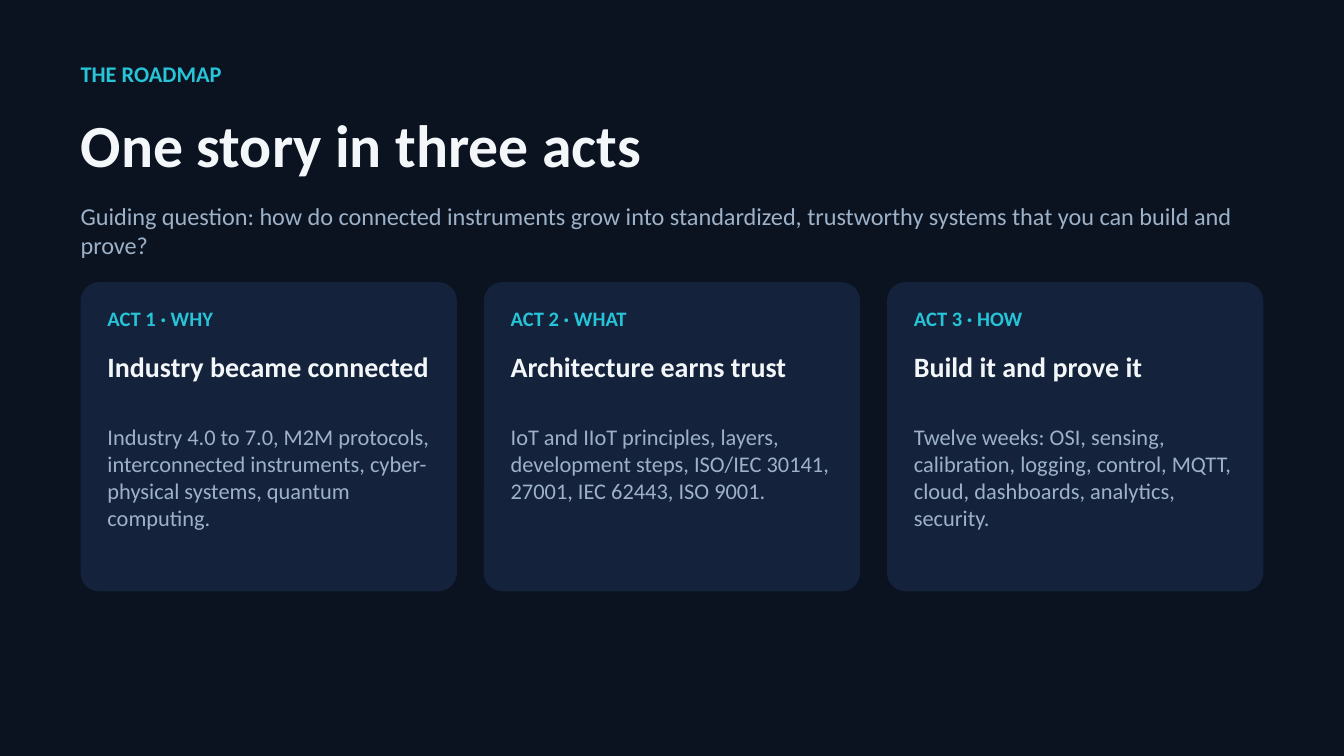
from pptx import Presentation
from pptx.dml.color import RGBColor
from pptx.enum.shapes import MSO_SHAPE
from pptx.enum.text import MSO_ANCHOR, MSO_AUTO_SIZE, PP_ALIGN
from pptx.util import Inches, Pt

COLORS = {
    "background": "0B1220",
    "card": "14233B",
    "accent": "27C4D8",
    "heading": "F3F7FA",
    "body": "9DB2C8",
}
FONT = "Calibri"

# A 16:9 slide
SLIDE_WIDTH = Inches(10)
SLIDE_HEIGHT = SLIDE_WIDTH * 9 // 16

# Layout grid: 50 columns across the slide, rows of a twentieth of an inch
COLUMN = SLIDE_WIDTH / 50
ROW = Inches(0.05)
MARGIN = 3
CONTENT_WIDTH = 44
CARD_WIDTH, CARD_GAP, CARD_PADDING = 14, 1, 1
CARD_TOP, CARD_HEIGHT = 42, 46

ACTS = [
    ("ACT 1 · WHY", "Industry became connected",
     "Industry 4.0 to 7.0, M2M protocols, interconnected instruments, "
     "cyber-physical systems, quantum computing."),
    ("ACT 2 · WHAT", "Architecture earns trust",
     "IoT and IIoT principles, layers, development steps, ISO/IEC 30141, "
     "27001, IEC 62443, ISO 9001."),
    ("ACT 3 · HOW", "Build it and prove it",
     "Twelve weeks: OSI, sensing, calibration, logging, control, MQTT, "
     "cloud, dashboards, analytics, security."),
]


def grid_box(column, row, columns, rows):
    """Return left, top, width and height of a block of grid cells."""
    return (round(column * COLUMN), round(row * ROW),
            round(columns * COLUMN), round(rows * ROW))


def add_text(text, box, *, size, color, bold=False, placeholder=None):
    """Write text into the placeholder, or into a new text box, at the given box."""
    shape = placeholder or slide.shapes.add_textbox(*box)
    shape.left, shape.top, shape.width, shape.height = box
    frame = shape.text_frame
    frame.margin_left = frame.margin_top = frame.margin_right = frame.margin_bottom = 0
    frame.word_wrap = True
    frame.auto_size = MSO_AUTO_SIZE.SHAPE_TO_FIT_TEXT
    frame.vertical_anchor = MSO_ANCHOR.TOP
    paragraph = frame.paragraphs[0]
    paragraph.alignment = PP_ALIGN.LEFT
    run = paragraph.add_run()
    run.text = text
    run.font.name = FONT
    run.font.size = Pt(size)
    run.font.bold = bold
    run.font.color.rgb = RGBColor.from_string(COLORS[color])


presentation = Presentation()
presentation.slide_width = SLIDE_WIDTH
presentation.slide_height = SLIDE_HEIGHT
slide = presentation.slides.add_slide(presentation.slide_layouts.get_by_name("Title Only"))
slide.background.fill.solid()
slide.background.fill.fore_color.rgb = RGBColor.from_string(COLORS["background"])

# Header
add_text("THE ROADMAP", grid_box(MARGIN, 9, CONTENT_WIDTH, 6),
         size=12, color="accent", bold=True)
add_text("One story in three acts", grid_box(MARGIN, 16, CONTENT_WIDTH, 18),
         size=32, color="heading", bold=True, placeholder=slide.shapes.title)
add_text("Guiding question: how do connected instruments grow into standardized, "
         "trustworthy systems that you can build and prove?",
         grid_box(MARGIN, 30, CONTENT_WIDTH, 8), size=13, color="body")

# One card per act
for index, (label, heading, description) in enumerate(ACTS):
    left = MARGIN + index * (CARD_WIDTH + CARD_GAP)
    card = slide.shapes.add_shape(
        MSO_SHAPE.ROUNDED_RECTANGLE, *grid_box(left, CARD_TOP, CARD_WIDTH, CARD_HEIGHT))
    card.adjustments[0] = 0.06
    card.shadow.inherit = False
    card.fill.solid()
    card.fill.fore_color.rgb = RGBColor.from_string(COLORS["card"])
    card.line.fill.background()

    text_left = left + CARD_PADDING
    text_width = CARD_WIDTH - 2 * CARD_PADDING
    add_text(label, grid_box(text_left, CARD_TOP + 3.6, text_width, 5),
             size=11, color="accent", bold=True)
    add_text(heading, grid_box(text_left, CARD_TOP + 10, text_width, 10),
             size=15, color="heading", bold=True)
    add_text(description, grid_box(text_left, CARD_TOP + 21, text_width, 24),
             size=12, color="body")

presentation.save("out.pptx")
